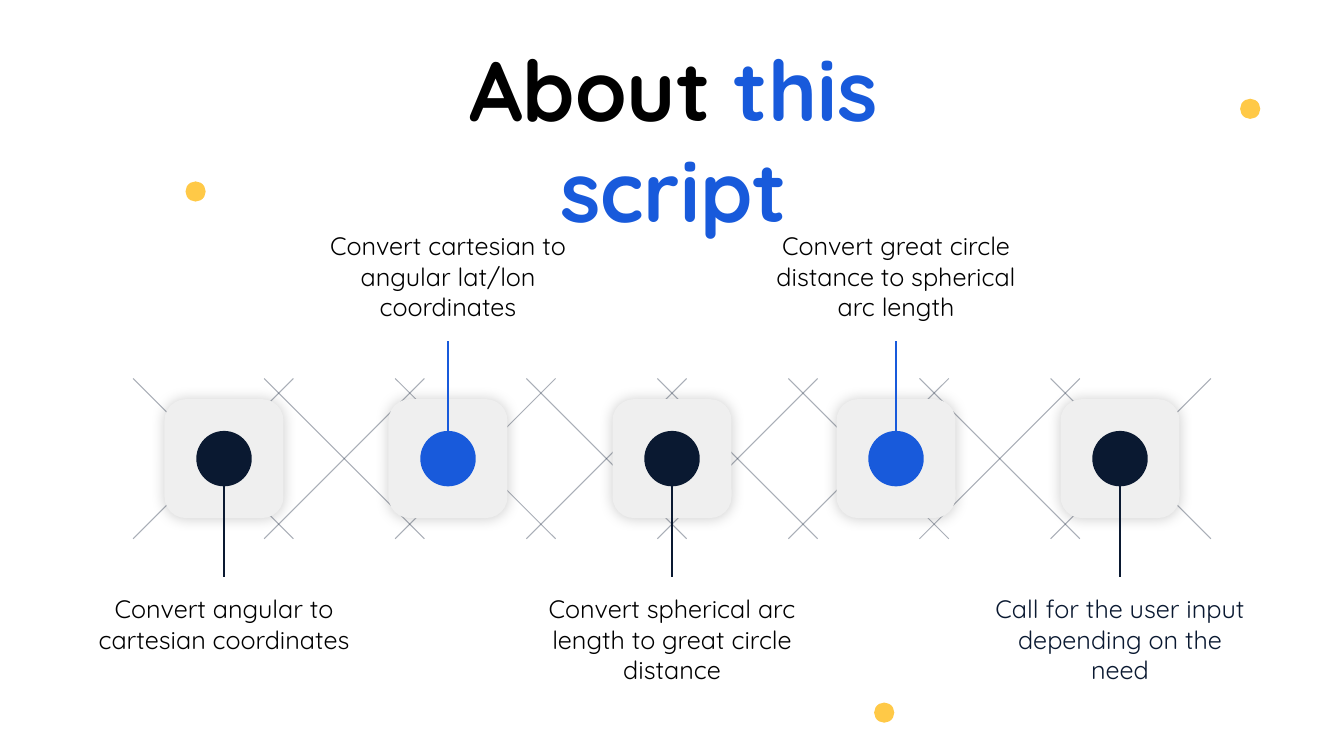
from dataclasses import dataclass

from lxml import etree
from pptx import Presentation
from pptx.dml.color import RGBColor
from pptx.enum.shapes import MSO_CONNECTOR, MSO_SHAPE
from pptx.enum.text import MSO_ANCHOR, MSO_AUTO_SIZE, PP_ALIGN
from pptx.oxml.ns import qn
from pptx.util import Inches, Pt

STRAIGHT = MSO_CONNECTOR.STRAIGHT
OVAL, ROUNDED = MSO_SHAPE.OVAL, MSO_SHAPE.ROUNDED_RECTANGLE
TOP, CENTER, NO_FIT = MSO_ANCHOR.TOP, PP_ALIGN.CENTER, MSO_AUTO_SIZE.NONE


@dataclass(frozen=True)
class Theme:
    font: str = "Quicksand"
    title_size: int = 60
    caption_size: int = 18
    black: str = "000000"
    navy: str = "0A1931"
    blue: str = "185ADB"
    tile: str = "EFEFEF"
    yellow: str = "FFC947"


T = Theme()
TITLE = [("About ", T.black), ("this script", T.blue)]
STEPS = [
    ("Convert angular to cartesian coordinates", T.black),
    ("Convert cartesian to angular lat/lon coordinates", T.black),
    ("Convert spherical arc length to great circle distance", T.black),
    ("Convert great circle distance to spherical arc length", T.black),
    ("Call for the user input depending on the need", T.navy),
]
ACCENTS = [(1.94, 1.9), (12.4, 1.08), (8.77, 7.07)]

W, H = 13.33, 7.5
COL = W / (len(STEPS) + 1)
MID_Y = 4.55
CROSSES, CROSS_PITCH, CROSS_SIZE = 8, 1.3, 1.59
TILE, DOT, STEM, ACCENT = 1.18, 0.55, 1.17, 0.2
CAPTION_W, CAPTION_H = 2.72, 1.31
CAPTION_ABOVE, CAPTION_BELOW = 2.24, 5.84


def add_line(slide, x1, y1, x2, y2, color, width, alpha=None):
    line = slide.shapes.add_connector(
        STRAIGHT, Inches(x1), Inches(y1), Inches(x2), Inches(y2))
    line.line.color.rgb = RGBColor.from_string(color)
    line.line.width = Pt(width)
    sp_pr = line._element.spPr
    etree.SubElement(sp_pr, qn("a:effectLst"))
    if alpha:
        clr = sp_pr.find(".//" + qn("a:srgbClr"))
        etree.SubElement(clr, qn("a:alpha"), val=str(alpha * 1000))


def add_centred(slide, kind, x, y, size, color):
    sp = slide.shapes.add_shape(
        kind, Inches(x - size / 2), Inches(y - size / 2), Inches(size), Inches(size))
    sp.fill.solid()
    sp.fill.fore_color.rgb = RGBColor.from_string(color)
    sp.line.fill.background()
    sp.shadow.inherit = False
    return sp


def add_glow(sp):
    effects = sp._element.spPr.find(qn("a:effectLst"))
    shadow = etree.SubElement(
        effects, qn("a:outerShdw"), blurRad=str(Pt(10)), dist="0", dir="0",
        algn="ctr", rotWithShape="0")
    clr = etree.SubElement(shadow, qn("a:srgbClr"), val=T.black)
    etree.SubElement(clr, qn("a:alpha"), val="20000")


def style_run(r, size, color, bold=False):
    r.font.name = T.font
    r.font.size = Pt(size)
    r.font.bold = bold
    r.font.color.rgb = RGBColor.from_string(color)


def add_title(slide):
    title = slide.shapes.title
    title.left, title.top = Inches(3.7), Inches(0.32)
    title.width, title.height = Inches(5.96), Inches(1.11)
    tf = title.text_frame
    tf.word_wrap = True
    tf.auto_size = NO_FIT
    tf.vertical_anchor = TOP
    p = tf.paragraphs[0]
    p.alignment = CENTER
    for text, color in TITLE:
        r = p.add_run()
        r.text = text
        style_run(r, T.title_size, color, bold=True)


def add_lattice(slide):
    top, bottom = MID_Y - CROSS_SIZE / 2, MID_Y + CROSS_SIZE / 2
    for i in range(CROSSES):
        x = W / 2 + (i - (CROSSES - 1) / 2) * CROSS_PITCH
        left, right = x - CROSS_SIZE / 2, x + CROSS_SIZE / 2
        add_line(slide, left, top, right, bottom, T.navy, 0.75, alpha=35)
        add_line(slide, right, top, left, bottom, T.navy, 0.75, alpha=35)


def add_step(slide, i, text, text_color):
    x = COL * (i + 1)
    above = i % 2 == 1
    color = T.blue if above else T.navy
    tile = add_centred(slide, ROUNDED, x, MID_Y, TILE, T.tile)
    tile.adjustments[0] = 0.18
    add_glow(tile)
    add_centred(slide, OVAL, x, MID_Y, DOT, color)
    add_line(slide, x, MID_Y, x, MID_Y + (-STEM if above else STEM), color, 1.5)

    box = slide.shapes.add_textbox(
        Inches(x - CAPTION_W / 2), Inches(CAPTION_ABOVE if above else CAPTION_BELOW),
        Inches(CAPTION_W), Inches(CAPTION_H))
    tf = box.text_frame
    tf.word_wrap = True
    tf.text = text
    p = tf.paragraphs[0]
    p.alignment = CENTER
    style_run(p.runs[0], T.caption_size, text_color)


def main():
    prs = Presentation()
    prs.slide_width, prs.slide_height = Inches(W), Inches(H)
    slide = prs.slides.add_slide(prs.slide_layouts[5])
    add_title(slide)
    add_lattice(slide)
    for i, (text, color) in enumerate(STEPS):
        add_step(slide, i, text, color)
    for x, y in ACCENTS:
        add_centred(slide, OVAL, x, y, ACCENT, T.yellow)
    prs.save("out.pptx")


if __name__ == "__main__":
    main()
